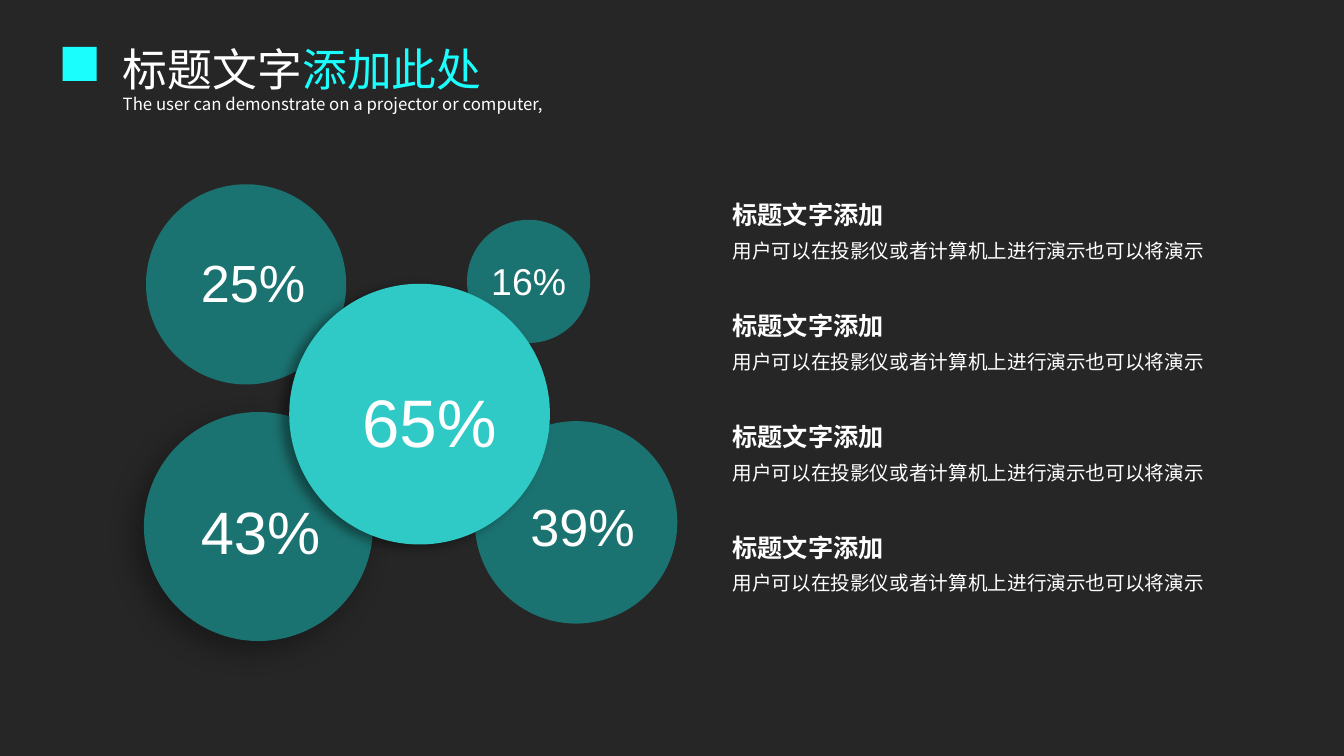
from lxml import etree
from pptx import Presentation
from pptx.dml.color import RGBColor
from pptx.enum.shapes import MSO_SHAPE
from pptx.enum.text import MSO_ANCHOR, MSO_AUTO_SIZE, PP_ALIGN
from pptx.oxml.ns import qn
from pptx.util import Pt

LEFT, MID, JUST = PP_ALIGN.LEFT, PP_ALIGN.CENTER, PP_ALIGN.JUSTIFY
OVAL, RECT = MSO_SHAPE.OVAL, MSO_SHAPE.RECTANGLE
CJK = "Noto Sans CJK SC"
WHITE, CYAN, TEAL, AQUA, DARK = "FFFFFF", "1AFFFE", "1B7371", "30CAC6", "262626"


def paint(fill, color):
    fill.solid()
    fill.fore_color.rgb = RGBColor.from_string(color)


def write(box, area, text, size, font, align=LEFT, gap=1.0, bold=False):
    """Place a text shape and set its one paragraph; "|" splits runs."""
    box.left, box.top, box.width, box.height = map(Pt, area)
    frame = box.text_frame
    frame.word_wrap = True
    frame.auto_size = MSO_AUTO_SIZE.NONE
    frame.vertical_anchor = MSO_ANCHOR.MIDDLE
    frame.margin_top = frame.margin_bottom = 0
    par = frame.paragraphs[0]
    par.alignment, par.line_spacing = align, gap
    for part in text.split("|"):
        run = par.add_run()
        run.text = part
        run.font.size, run.font.name, run.font.bold = Pt(size), font, bold
        paint(run.font.fill, WHITE)
        latin = run.font._element.find(qn("a:latin"))
        latin.addnext(etree.Element(qn("a:ea"), typeface=CJK))
    return par


deck = Presentation()
deck.slide_width, deck.slide_height = Pt(960), Pt(540)
slide = deck.slides.add_slide(deck.slide_layouts[5])
shapes = slide.shapes
paint(slide.background.fill, DARK)

# Header
title = write(shapes.title, (80.6, 25.9, 351.4, 46.1), "标题文字|添加此处", 32, CJK)
paint(title.runs[1].font.fill, CYAN)
write(shapes.add_textbox(0, 0, 0, 0), (80.6, 61.9, 476.6, 22.3),
      "The user can demonstrate on a projector or computer,", 12, CJK, gap=1.14)
mark = shapes.add_shape(RECT, Pt(44.8), Pt(33.6), Pt(24.2), Pt(24.2))
mark.shadow.inherit = False
paint(mark.fill, CYAN)
mark.line.fill.background()

# Bubbles: left, top, diameter, colour, shadow (alpha, blur, distance, angle),
# label, size, label area
bubbles = [
    (102.8, 294.3, 163.6, TEAL, (35, 20, 10, 135), "43%", 42.7, (110.9, 349.2, 150.5, 59)),
    (333.6, 157, 88, TEAL, None, "16%", 26.7, (338.4, 180.7, 78.5, 39.6)),
    (339.2, 300.8, 144.6, TEAL, None, "39%", 37.3, (366.5, 349.2, 99.4, 52.6)),
    (104.3, 131.6, 143, TEAL, None, "25%", 37.3, (131.8, 175, 97.9, 52.6)),
    (206.6, 202.7, 186.2, AQUA, (40, 8, 6, 160), "65%", 48, (205.9, 267.8, 201.6, 65.5)),
]
for left, top, size, color, shade, label, points, area in bubbles:
    ball = shapes.add_shape(OVAL, Pt(left), Pt(top), Pt(size), Pt(size))
    ball.shadow.inherit = False
    paint(ball.fill, color)
    ball.line.fill.background()
    if shade:
        alpha, blur, dist, angle = shade
        effects = ball._element.spPr.find(qn("a:effectLst"))
        outer = etree.SubElement(effects, qn("a:outerShdw"), blurRad=str(Pt(blur)),
                                 dist=str(Pt(dist)), dir=str(angle * 60000),
                                 algn="ctr", rotWithShape="0")
        black = etree.SubElement(outer, qn("a:srgbClr"), val="000000")
        etree.SubElement(black, qn("a:alpha"), val=str(alpha * 1000))
    write(shapes.add_textbox(0, 0, 0, 0), area, label, points, "Arial", MID)

# Captions
for row in range(4):
    top = 135.4 + row * 79.2
    write(shapes.add_textbox(0, 0, 0, 0), (516.2, top, 176.4, 31.7),
          "标题文字添加", 18, "Arial", JUST, 1.2, True)
    write(shapes.add_textbox(0, 0, 0, 0), (516.2, top + 28.1, 372.2, 27.4),
          "用户可以在投影仪或者计算机上进行演示也可以将演示", 14, "Arial", JUST, 1.2)

deck.save("out.pptx")
